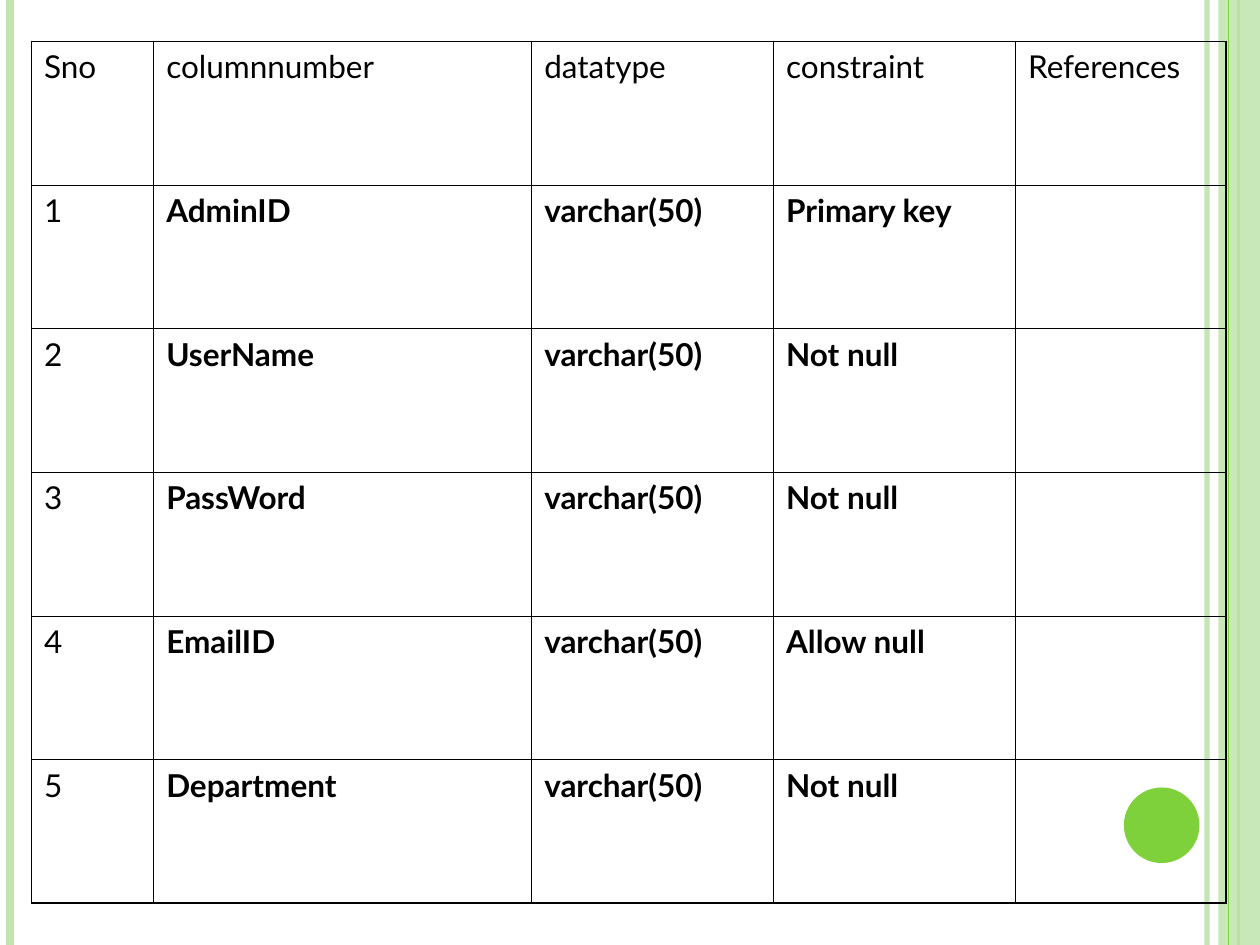
from dataclasses import dataclass
from pptx import Presentation
from pptx.dml.color import RGBColor as RGB
from pptx.enum.shapes import MSO_CONNECTOR as LINK, MSO_SHAPE as SHAPE
from pptx.oxml.ns import qn
from pptx.oxml.xmlchemy import OxmlElement as Node
from pptx.util import Inches, Pt


@dataclass
class Theme:
    font: str = "Lato"
    size: float = 18
    ink: str = "000000"
    pale: str = "C0E5AF"
    green: str = "7FD13B"
    thin: float = 0.45
    thick: float = 1.08


HEAD = ["Sno", "columnnumber", "datatype", "constraint", "References"]
FIELDS = [
    ("AdminID", "Primary key"),
    ("UserName", "Not null"),
    ("PassWord", "Not null"),
    ("EmailID", "Allow null"),
    ("Department", "Not null"),
]
WIDTHS = [0.97, 3, 1.92, 1.92, 1.67]


class Page:
    def __init__(self, deck, theme):
        self.theme = theme
        self.slide = deck.slides.add_slide(deck.slide_layouts[6])
        self.shapes = self.slide.shapes

    def fade(self, fill, alpha):
        for color in fill.iter(qn("a:srgbClr")):
            node = Node("a:alpha")
            node.set("val", str(alpha * 1000))
            color.append(node)

    def stripe(self, x, color, width, alpha=100):
        line = self.shapes.add_connector(
            LINK.STRAIGHT, Inches(x), 0, Inches(x), Inches(7.5))
        line.line.color.rgb = RGB.from_string(color)
        line.line.width = Pt(width)
        props = line._element.spPr
        if alpha < 100:
            self.fade(props, alpha)
        props.append(Node("a:effectLst"))

    def shape(self, kind, box, color, alpha=100):
        item = self.shapes.add_shape(kind, *map(Inches, box))
        item.shadow.inherit = False
        item.fill.solid()
        item.fill.fore_color.rgb = RGB.from_string(color)
        item.line.fill.background()
        if alpha < 100:
            self.fade(item._element.spPr, alpha)

    def border(self, cell, sides):
        props = cell._tc.get_or_add_tcPr()
        for spot, (side, outer) in enumerate(sides.items()):
            line = Node(f"a:ln{side}")
            width = self.theme.thick if outer else self.theme.thin
            line.set("w", str(Pt(width)))
            fill, color = Node("a:solidFill"), Node("a:srgbClr")
            color.set("val", self.theme.ink)
            fill.append(color)
            line.append(fill)
            props.insert(spot, line)

    def label(self, cell, text, bold):
        cell.text = text
        para = cell.text_frame.paragraphs[0]
        para.font.name = self.theme.font
        para.font.size = Pt(self.theme.size)
        para.font.bold = bold
        para.font.color.rgb = RGB.from_string(self.theme.ink)

    def table(self, rows, left, top, widths, height):
        frame = self.shapes.add_table(
            len(rows), len(widths), Inches(left), Inches(top),
            Inches(sum(widths)), Inches(height * len(rows)))
        grid = frame.table
        grid.first_row = grid.horz_banding = False
        for col, width in zip(grid.columns, widths):
            col.width = Inches(width)
        for r, row in enumerate(rows):
            grid.rows[r].height = Inches(height)
            for c, text in enumerate(row):
                cell = grid.cell(r, c)
                cell.fill.background()
                self.label(cell, text, r > 0 and c > 0)
                self.border(cell, {
                    "L": c == 0, "R": c == len(widths) - 1,
                    "T": r == 0, "B": r == len(rows) - 1})


def main():
    deck = Presentation()
    deck.slide_width, deck.slide_height = Inches(10), Inches(7.5)
    theme = Theme()
    page = Page(deck, theme)
    page.stripe(9.58, theme.pale, 3, 93)
    page.stripe(0.08, theme.pale, 4.5)
    page.stripe(9.83, theme.green, 1.5)
    page.shape(SHAPE.RECTANGLE, (9.67, 0, 0.33, 7.5), theme.pale, 87)
    page.stripe(9.75, theme.green, 0.75)
    page.shape(SHAPE.OVAL, (8.92, 6.25, 0.6, 0.6), theme.green)
    rows = [HEAD] + [
        [str(n), name, "varchar(50)", rule, ""]
        for n, (name, rule) in enumerate(FIELDS, 1)]
    page.table(rows, 0.25, 0.33, WIDTHS, 1.14)
    deck.save("out.pptx")


if __name__ == "__main__":
    main()
